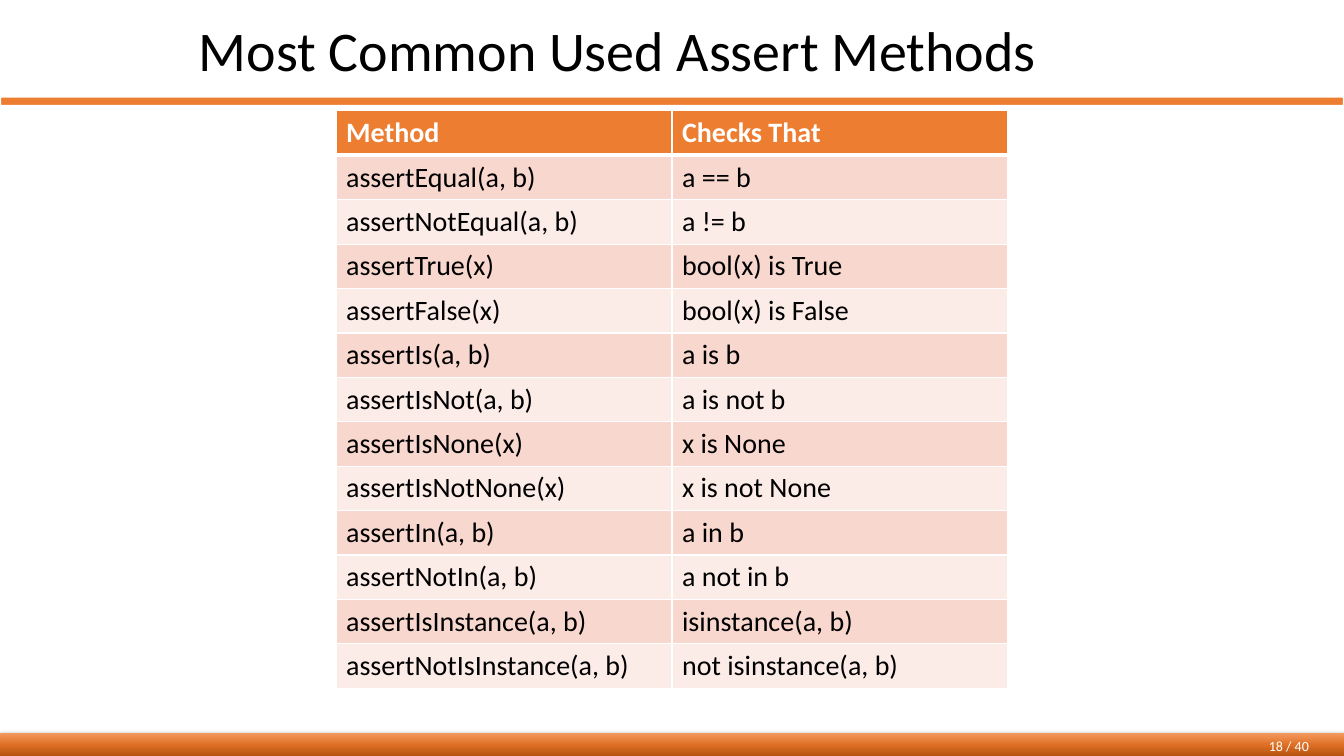
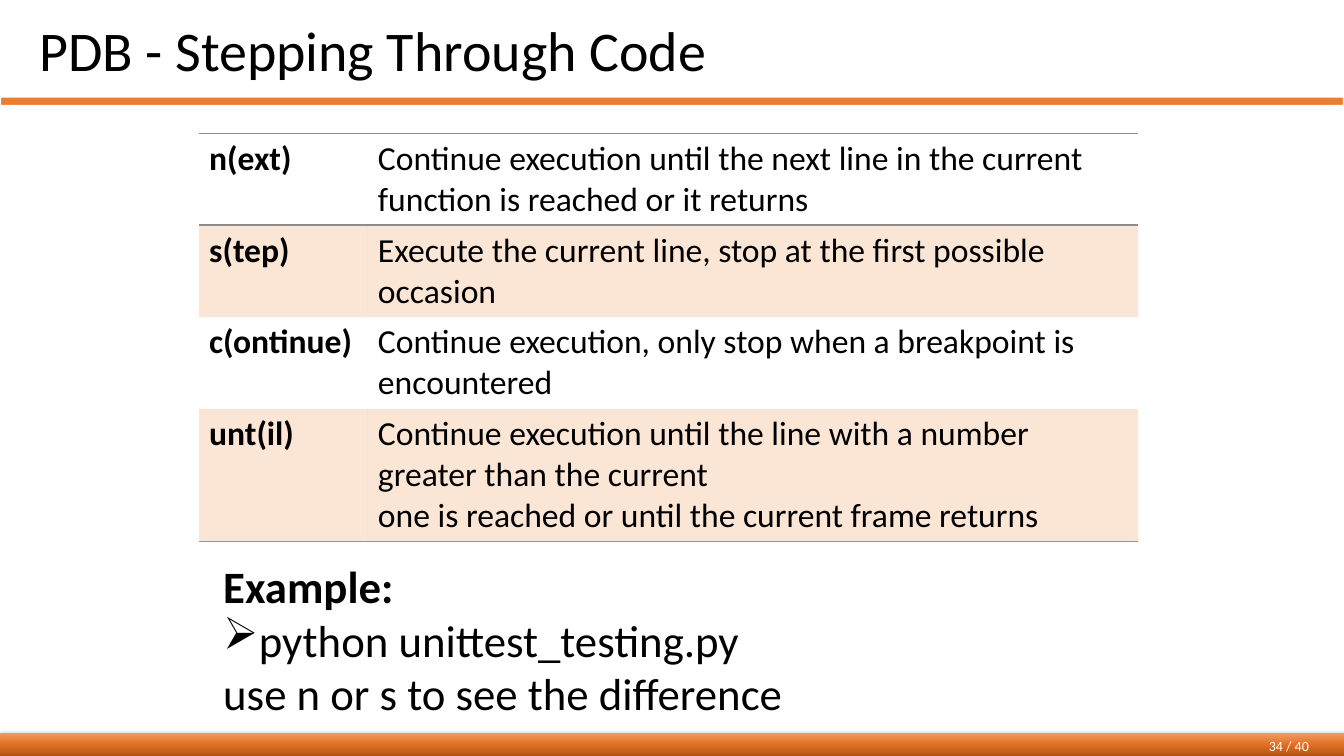
from lxml import etree
from pptx import Presentation
from pptx.dml.color import RGBColor
from pptx.enum.shapes import MSO_SHAPE
from pptx.enum.text import MSO_ANCHOR, PP_ALIGN
from pptx.oxml.ns import qn
from pptx.util import Emu, Inches, Pt

RECT, ROUNDED = MSO_SHAPE.RECTANGLE, MSO_SHAPE.ROUNDED_RECTANGLE
TOP, MIDDLE = MSO_ANCHOR.TOP, MSO_ANCHOR.MIDDLE
LEFT, RIGHT = PP_ALIGN.LEFT, PP_ALIGN.RIGHT

COLUMNS, ROWS = 160, 90
ORANGE, WHITE, BLACK, GREY = "ED7D31", "FFFFFF", "000000", "8C8C8C"
BAND_STOPS = [(0, "F39A5E"), (50, "DF7025"), (100, "B55310")]
PAGE_COUNT = 40


def rgb(hex_color):
    return RGBColor.from_string(hex_color)


def add_xml(parent, tag, **attributes):
    values = {name: str(value) for name, value in attributes.items()}
    return etree.SubElement(parent, qn(tag), values)


class Deck:
    """Holds the shared style and the slide being filled; lengths are grid units."""

    font = "Calibri"

    def __init__(self):
        self.presentation = Presentation()
        self.presentation.slide_width = Inches(40 / 3)
        self.presentation.slide_height = Inches(7.5)
        self.unit = self.presentation.slide_width / COLUMNS
        self.slide = None

    def span(self, units):
        return Emu(round(units * self.unit))

    def place(self, box):
        return [self.span(units) for units in box]

    def start_slide(self, title, page, title_left, title_width):
        layout = self.presentation.slide_layouts[6]
        self.slide = self.presentation.slides.add_slide(layout)
        self.footer_band()
        self.title_bar()
        self.text((title_left, 1.1, title_width, 9.4), [(title, {})], 40, anchor=MIDDLE)
        self.text((143.6, 87, 13.4, 3.5), [(f"{page} / {PAGE_COUNT}", {})], 10,
                  color=WHITE, anchor=MIDDLE, align=RIGHT)

    def shape(self, kind, box):
        shape = self.slide.shapes.add_shape(kind, *self.place(box))
        shape.shadow.inherit = False
        return shape

    def footer_band(self):
        band = self.shape(RECT, (0, 87.3, COLUMNS, 2.7))
        band.line.fill.background()
        band.fill.gradient()
        band.fill.gradient_angle = 270
        properties = band.element.spPr
        stops = properties.find(".//" + qn("a:gsLst"))
        for stop in list(stops):
            stops.remove(stop)
        for position, color in BAND_STOPS:
            stop = add_xml(stops, "a:gs", pos=position * 1000)
            add_xml(stop, "a:srgbClr", val=color)
        shadow = add_xml(properties.find(qn("a:effectLst")), "a:outerShdw",
                         blurRad=Pt(4.5), dist=Pt(1.5), dir=90 * 60000, rotWithShape=0)
        add_xml(add_xml(shadow, "a:srgbClr", val=BLACK), "a:alpha", val=63000)

    def title_bar(self):
        bar = self.shape(ROUNDED, (0, 11.5, COLUMNS, 1.1))
        bar.fill.solid()
        bar.fill.fore_color.rgb = rgb(ORANGE)
        bar.line.color.rgb = rgb(WHITE)
        bar.line.width = Pt(1.5)

    def format_font(self, font, size, color=BLACK, bold=False):
        formats = {"name": self.font, "size": Pt(size), "bold": bold}
        for name, value in formats.items():
            setattr(font, name, value)
        font.color.rgb = rgb(color)

    def text(self, box, paragraphs, size, color=BLACK, anchor=TOP, align=LEFT):
        """Adds (text, options) paragraphs; the options are bold and bullet."""
        frame = self.slide.shapes.add_textbox(*self.place(box)).text_frame
        frame.word_wrap = True
        frame.vertical_anchor = anchor
        for index, (words, options) in enumerate(paragraphs):
            paragraph = frame.add_paragraph() if index else frame.paragraphs[0]
            paragraph.alignment = align
            run = paragraph.add_run()
            run.text = words
            self.format_font(run.font, size, color, options.get("bold", False))
            if "bullet" in options:
                self.bullet(paragraph, options["bullet"])

    def bullet(self, paragraph, mark):
        properties = paragraph._p.get_or_add_pPr()
        indent = Inches(0.31)
        properties.set("marL", str(indent))
        properties.set("indent", str(-indent))
        add_xml(properties, "a:buChar", char=mark)

    def table(self, corner, widths, heights, rows, size, look, rules, divider=None):
        """look(row, column) gives fill, opacity, colour and bold of a cell.

        rules holds the (colour, points) line above each row and below the
        last one; divider is the line for every vertical edge.
        """
        box = (*corner, sum(widths), sum(heights))
        table = self.slide.shapes.add_table(len(rows), len(widths), *self.place(box)).table
        table.first_row = table.horz_banding = False
        for column, width in zip(table.columns, widths):
            column.width = self.span(width)
        for row, height in zip(table.rows, heights):
            row.height = self.span(height)
        for row_index, row in enumerate(rows):
            edges = {"a:lnL": divider, "a:lnR": divider,
                     "a:lnT": rules[row_index], "a:lnB": rules[row_index + 1]}
            for column_index, words in enumerate(row):
                cell = table.cell(row_index, column_index)
                fill, opacity, color, bold = look(row_index, column_index)
                cell.text = words
                for paragraph in cell.text_frame.paragraphs:
                    for run in paragraph.runs:
                        self.format_font(run.font, size, color, bold)
                self.fill_cell(cell, fill, opacity)
                self.cell_borders(cell, edges)

    def fill_cell(self, cell, color, opacity):
        if color is None:
            cell.fill.background()
            return
        cell.fill.solid()
        cell.fill.fore_color.rgb = rgb(color)
        if opacity < 100:
            shade = cell._tc.tcPr.find(".//" + qn("a:srgbClr"))
            add_xml(shade, "a:alpha", val=opacity * 1000)

    def cell_borders(self, cell, edges):
        properties = cell._tc.get_or_add_tcPr()
        for position, (tag, edge) in enumerate(edges.items()):
            color, points = edge or (None, 0)
            line = add_xml(properties, tag, w=Pt(points))
            if color:
                add_xml(add_xml(line, "a:solidFill"), "a:srgbClr", val=color)
            else:
                add_xml(line, "a:noFill")
            properties.insert(position, line)


ASSERT_METHODS = [
    ("Method", "Checks That"),
    ("assertEqual(a, b)", "a == b"),
    ("assertNotEqual(a, b)", "a != b"),
    ("assertTrue(x)", "bool(x) is True"),
    ("assertFalse(x)", "bool(x) is False"),
    ("assertIs(a, b)", "a is b"),
    ("assertIsNot(a, b)", "a is not b"),
    ("assertIsNone(x)", "x is None"),
    ("assertIsNotNone(x)", "x is not None"),
    ("assertIn(a, b)", "a in b"),
    ("assertNotIn(a, b)", "a not in b"),
    ("assertIsInstance(a, b)", "isinstance(a, b)"),
    ("assertNotIsInstance(a, b)", "not isinstance(a, b)"),
]

STEP_COMMANDS = [
    ("n(ext)", "Continue execution until the next line in the current "
               "function is reached or it returns"),
    ("s(tep)", "Execute the current line, stop at the first possible occasion"),
    ("c(ontinue)", "Continue execution, only stop when a breakpoint is encountered"),
    ("unt(il)", "Continue execution until the line with a number greater than the current\n"
                "one is reached or until the current frame returns"),
]


def assert_look(row, column):
    if row == 0:
        return ORANGE, 100, WHITE, True
    return ("F8D7CE" if row % 2 else "FCECE8"), 100, BLACK, False


def step_look(row, column):
    return (ORANGE if row % 2 else None), 20, BLACK, column == 0


def assert_slide(deck):
    deck.start_slide("Most Common Used Assert Methods", 18, 22.5, 103.5)
    count = len(ASSERT_METHODS)
    thin = (WHITE, 1)
    deck.table((40, 13.2), [40, 40], [5.29] * count, ASSERT_METHODS, 20, assert_look,
               [thin, (WHITE, 3)] + [thin] * (count - 1), thin)


def stepping_slide(deck):
    deck.start_slide("PDB - Stepping Through Code", 34, 3.5, 138)
    deck.table((23.7, 15.85), [20.1, 91.7], [10.95] * 3 + [15.8], STEP_COMMANDS, 24,
               step_look, [(GREY, 1), (GREY, 1), None, None, (ORANGE, 1)])
    deck.text((25.4, 65.9, 91, 20.6), [
        ("Example:", {"bold": True}),
        ("python unittest_testing.py", {"bullet": "➢"}),
        ("use n or s to see the difference", {}),
    ], 32)


def main():
    deck = Deck()
    assert_slide(deck)
    stepping_slide(deck)
    deck.presentation.save("out.pptx")


if __name__ == "__main__":
    main()
